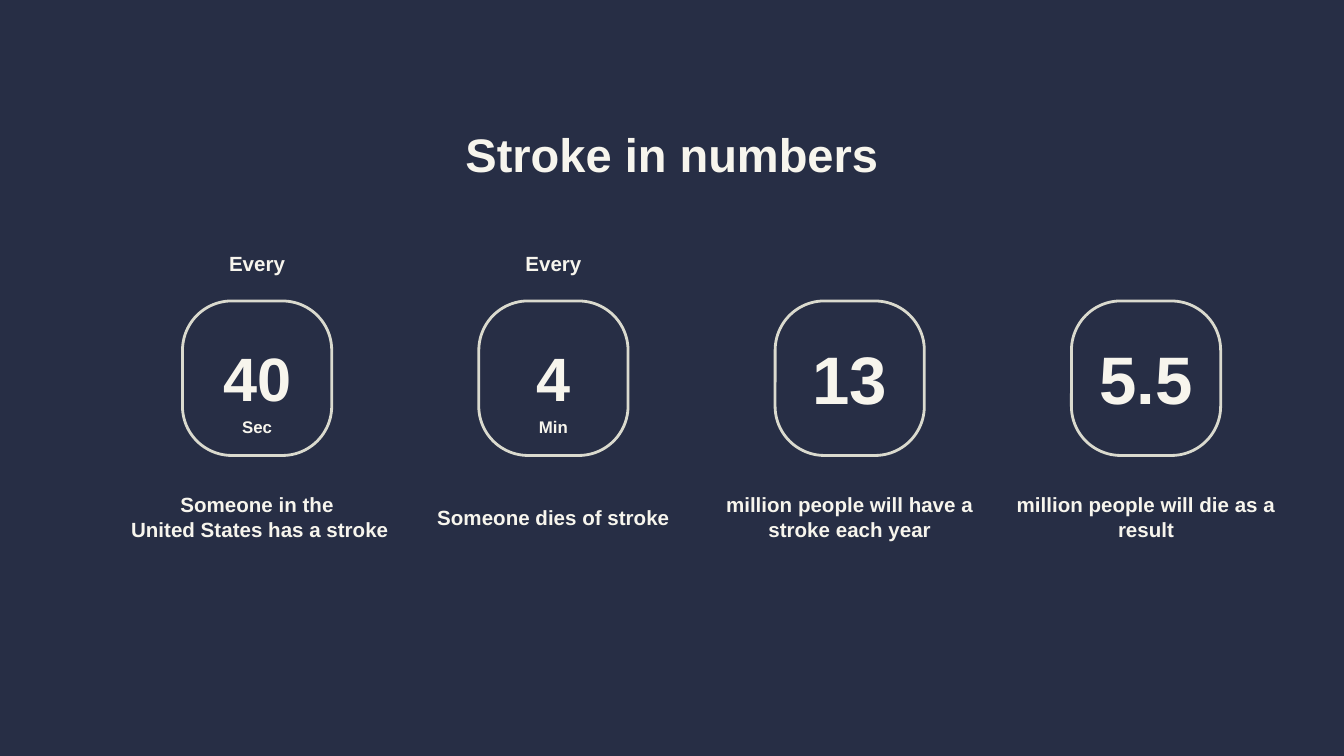
import dataclasses

import pptx
import pptx.dml.color
import pptx.enum.shapes
import pptx.enum.text
import pptx.shapes.autoshape
import pptx.slide
import pptx.util

Cm = pptx.util.Cm
Pt = pptx.util.Pt
RGBColor = pptx.dml.color.RGBColor
Anchor = pptx.enum.text.MSO_ANCHOR

NAVY = RGBColor(0x27, 0x2E, 0x45)
CREAM = RGBColor(0xF7, 0xF5, 0xED)
SAND = RGBColor(0xDA, 0xDA, 0xCE)
FONT = "Arial"

# Centre of the first column and distance between columns, in cm
START = 4.86
STEP = 5.6


@dataclasses.dataclass
class Stat:
    value: str
    label: str
    width: float  # of the label
    unit: str = ""
    lead: str = ""


STATS = [
    Stat("40", "Someone in the\n United States has a stroke", 5.97, "Sec", "Every"),
    Stat("4", "Someone dies of stroke", 5.11, "Min", "Every"),
    Stat("13", "million people will have a stroke each year", 5.64),
    Stat("5.5", "million people will die as a result", 5.64),
]


def write(shape: pptx.shapes.autoshape.Shape, text: str, *, size: float,
          inset: float = 0.25, wrap: bool = True,
          anchor: Anchor = Anchor.MIDDLE) -> None:
    """Put centred bold text into a shape."""
    frame = shape.text_frame
    frame.text = text
    frame.auto_size = pptx.enum.text.MSO_AUTO_SIZE.NONE
    frame.word_wrap = wrap
    frame.vertical_anchor = anchor
    frame.margin_left = frame.margin_right = Cm(inset)
    frame.margin_top = frame.margin_bottom = Cm(inset)
    for para in frame.paragraphs:
        para.alignment = pptx.enum.text.PP_ALIGN.CENTER
        for run in para.runs:
            font = run.font
            font.name, font.size, font.bold = FONT, Pt(size), True
            font.color.rgb = CREAM


def label(slide: pptx.slide.Slide, text: str, mid: float, top: float,
          width: float, height: float, **style) -> None:
    """Add a text box centred on mid."""
    box = slide.shapes.add_textbox(
        Cm(mid - width / 2), Cm(top), Cm(width), Cm(height))
    write(box, text, **style)


def frame(slide: pptx.slide.Slide, mid: float) -> None:
    """Add the rounded outline around a value."""
    width = 2.82
    box = slide.shapes.add_shape(
        pptx.enum.shapes.MSO_SHAPE.ROUNDED_RECTANGLE,
        Cm(mid - width / 2), Cm(5.69), Cm(width), Cm(2.92))
    box.adjustments[0] = 0.33
    box.shadow.inherit = False
    box.fill.background()
    box.line.color.rgb = SAND
    box.line.width = Pt(1.5)


def column(slide: pptx.slide.Slide, stat: Stat, mid: float) -> None:
    """Draw one statistic."""
    frame(slide, mid)
    if stat.unit:
        label(slide, stat.lead, mid, 4.45, 1.75, 1.04, size=11)
        label(slide, stat.value, mid, 6.17, 2.64, 1.93, size=32.8)
        label(slide, stat.unit, mid, 7.54, 1.75, 1.04, size=9)
    else:
        label(slide, stat.value, mid, 6.38, 1.8, 1.52, size=36,
              inset=0, wrap=False, anchor=Anchor.TOP)
    label(slide, stat.label, mid, 8.81, stat.width, 1.93, size=11)


def main() -> None:
    deck = pptx.Presentation()
    deck.slide_width, deck.slide_height = Cm(25.4), Cm(14.29)
    slide = deck.slides.add_slide(deck.slide_layouts[5])

    # Background
    fill = slide.background.fill
    fill.solid()
    fill.fore_color.rgb = NAVY

    # Title
    title = slide.shapes.title
    title.left, title.top = Cm(2), Cm(2.1)
    title.width, title.height = Cm(21.4), Cm(1.6)
    write(title, "Stroke in numbers", size=25.2)

    # Statistics
    for i, stat in enumerate(STATS):
        column(slide, stat, START + i * STEP)

    deck.save("out.pptx")


if __name__ == "__main__":
    main()
